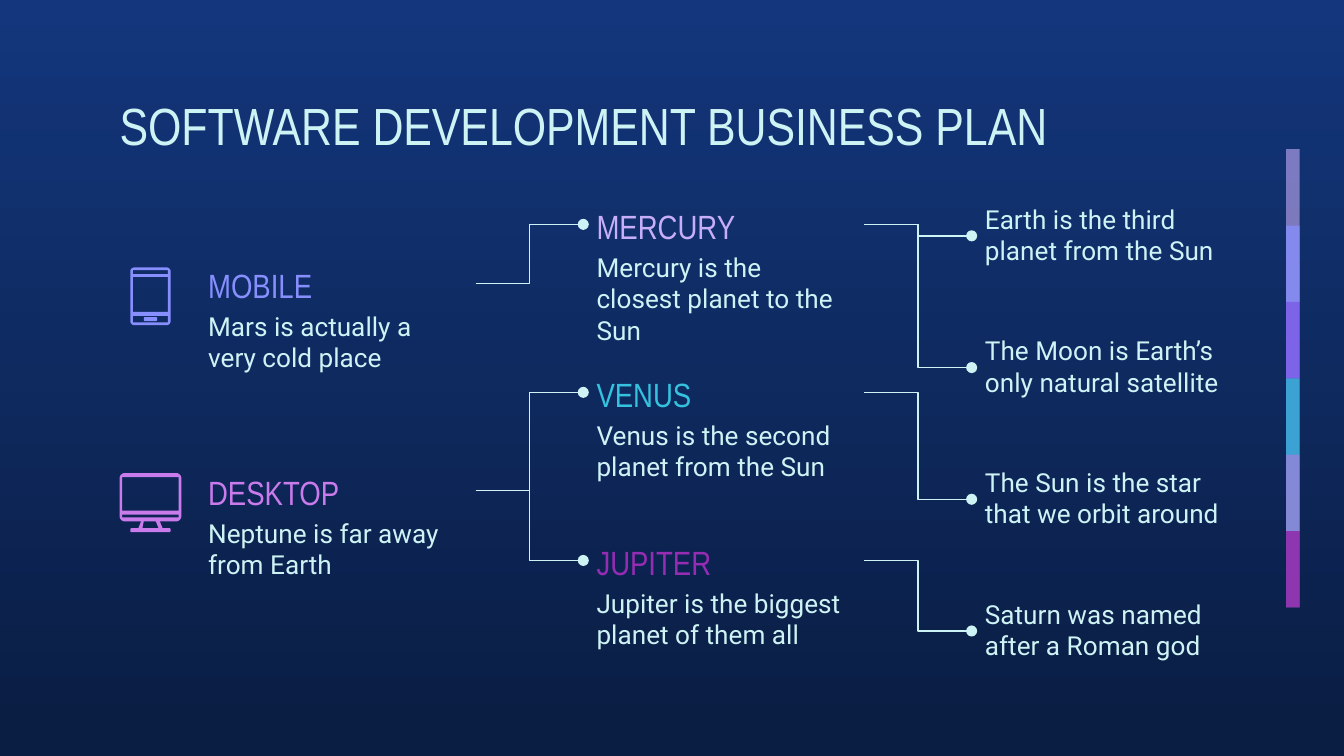
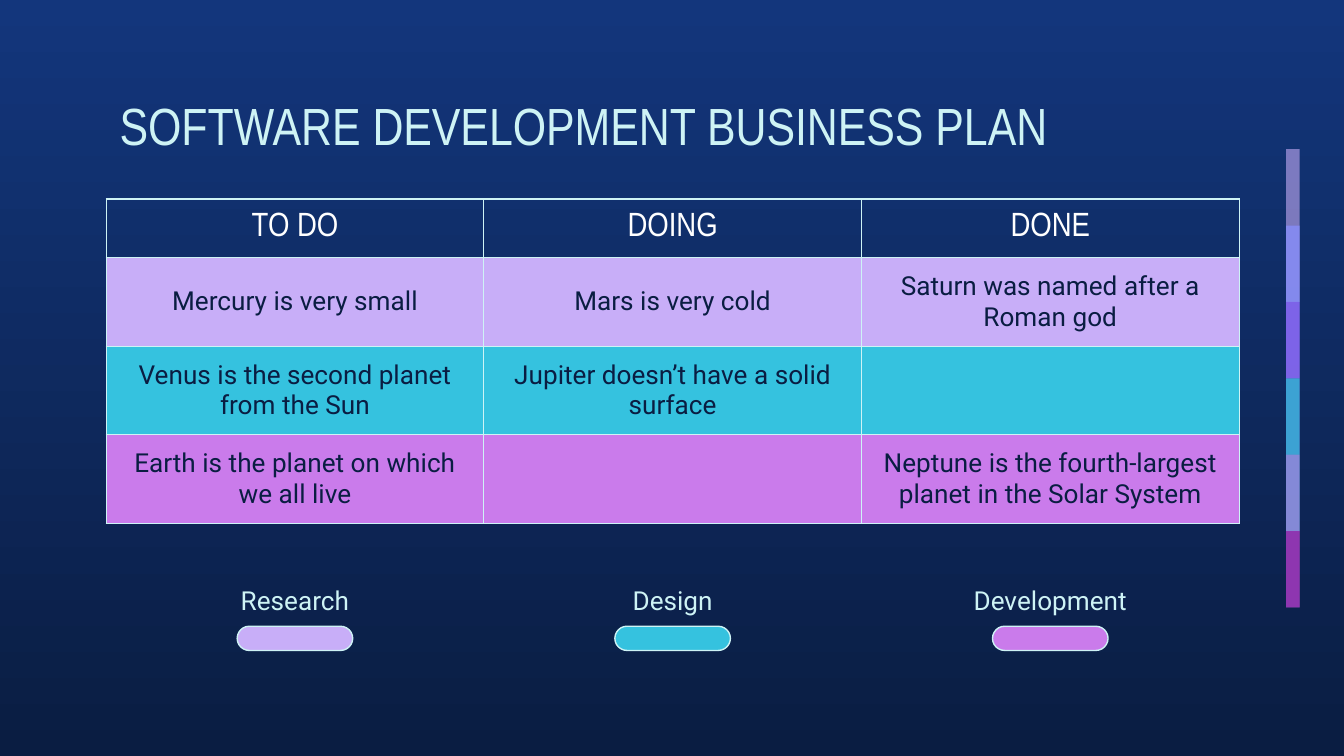
import math
from pptx import Presentation
from pptx import util as u
from pptx.dml import color
from pptx.enum import shapes, text
from pptx.oxml import ns, parse_xml

COLORS = {
    "sky": "13367C", "night": "0A1D42", "ice": "CEF3F5", "white": "FFFFFF",
    "lilac": "C8AEF8", "periwinkle": "878FFF", "violet": "9154F8",
    "cyan": "35C2DF", "orchid": "CA7BEB", "purple": "972CB4",
}
HEADING, BODY = "Arial Narrow", "Roboto"
HAIRLINE = 0.75

TITLE = "SOFTWARE DEVELOPMENT BUSINESS PLAN"
BAND = [("lilac", 59), ("periwinkle", 74), ("violet", 53),
        ("cyan", 76), ("orchid", 56), ("purple", 74)]

COLUMN_LEFTS = {"platform": 1.45, "planet": 4.34, "fact": 7.23}
TOPICS = [
    ("MOBILE", "Mars is actually a very cold place", "periwinkle", "platform", 1.85),
    ("DESKTOP", "Neptune is far away from Earth", "orchid", "platform", 3.39),
    ("MERCURY", "Mercury is the closest planet to the Sun", "lilac", "planet", 1.41),
    ("VENUS", "Venus is the second planet from the Sun", "cyan", "planet", 2.66),
    ("JUPITER", "Jupiter is the biggest planet of them all", "purple", "planet", 3.91),
]
FACTS = [
    "Earth is the third planet from the Sun",
    "The Moon is Earth’s only natural satellite",
    "The Sun is the star that we orbit around",
    "Saturn was named after a Roman god",
]
LINKS = [
    ("MOBILE", "MERCURY"), ("DESKTOP", "VENUS"), ("DESKTOP", "JUPITER"),
    ("MERCURY", FACTS[0]), ("MERCURY", FACTS[1]),
    ("VENUS", FACTS[2]), ("JUPITER", FACTS[3]),
]

BOARD_HEADS = ["TO DO", "DOING", "DONE"]
BOARD = [
    ("Research", "lilac", ["Mercury is very small", "Mars is very cold",
                           "Saturn was named after a Roman god"]),
    ("Design", "cyan", ["Venus is the second planet from the Sun",
                        "Jupiter doesn’t have a solid surface", ""]),
    ("Development", "orchid", ["Earth is the planet on which we all live", "",
                               "Neptune is the fourth-largest planet in the Solar System"]),
]


def rgb(name):
    return color.RGBColor.from_string(COLORS[name])


def rounded(left, top, right, bottom, radius):
    corners = [(right - radius, top + radius, -90), (right - radius, bottom - radius, 0),
               (left + radius, bottom - radius, 90), (left + radius, top + radius, 180)]
    return [(x + radius * math.cos(math.radians(start + turn)),
             y + radius * math.sin(math.radians(start + turn)))
            for x, y, start in corners for turn in range(0, 91, 15)]


def box(left, top, right, bottom):
    return [(left, top), (right, top), (right, bottom), (left, bottom)]


PHONE = [
    rounded(0.97, 1.99, 1.27, 2.42, 0.03),
    box(0.99, 2.01, 1.25, 2.04),
    box(0.99, 2.06, 1.25, 2.32),
    box(0.99, 2.35, 1.25, 2.4),
]
PHONE_BUTTON = [rounded(1.07, 2.36, 1.17, 2.39, 0.01)]
MONITOR = [
    rounded(0.89, 3.52, 1.35, 3.88, 0.04),
    box(0.91, 3.55, 1.33, 3.8),
    box(0.91, 3.83, 1.33, 3.85),
    [(1.05, 3.88), (1.07, 3.88), (1.06, 3.93), (1.03, 3.93)],
    [(1.16, 3.88), (1.19, 3.88), (1.21, 3.93), (1.18, 3.93)],
    rounded(0.97, 3.93, 1.27, 3.96, 0.01),
]
ICONS = [(PHONE, "periwinkle"), (PHONE_BUTTON, "periwinkle"), (MONITOR, "orchid")]


def style(paragraph, font, size, ink, align=None):
    if align is not None:
        paragraph.alignment = align
    paragraph.font.name = font
    paragraph.font.size = u.Pt(size)
    paragraph.font.color.rgb = rgb(ink)


def set_margins(holder):
    holder.margin_left = holder.margin_right = u.Inches(0.1)
    holder.margin_top = holder.margin_bottom = u.Inches(0.1)


def add_text(slide, words, left, top, width, height, font=BODY, size=14, ink="ice",
             align=None, anchor=text.MSO_ANCHOR.TOP):
    label = slide.shapes.add_textbox(*map(u.Inches, (left, top, width, height)))
    frame = label.text_frame
    frame.word_wrap = True
    frame.vertical_anchor = anchor
    set_margins(frame)
    frame.text = words
    style(frame.paragraphs[0], font, size, ink, align)
    return label


def paint(shape, fill, outline=None):
    shape.shadow.inherit = False
    shape.fill.solid()
    shape.fill.fore_color.rgb = rgb(fill)
    if outline:
        shape.line.color.rgb = rgb(outline)
        shape.line.width = u.Pt(HAIRLINE)
    else:
        shape.line.fill.background()


def add_band(slide):
    top, bottom = 1.11, 4.52
    step = (bottom - top) / len(BAND)
    for i, (fill, opacity) in enumerate(BAND):
        height = min(2 * step, bottom - top - i * step)
        stripe = slide.shapes.add_shape(
            shapes.MSO_SHAPE.RECTANGLE,
            *map(u.Inches, (9.57, top + i * step, 0.1, height)))
        paint(stripe, fill)
        tint = stripe._element.spPr.find(".//" + ns.qn("a:srgbClr"))
        tint.append(parse_xml(f'<a:alpha {ns.nsdecls("a")} val="{opacity * 1000}"/>'))


def add_slide(prs):
    slide = prs.slides.add_slide(prs.slide_layouts[5])
    add_band(slide)
    title = slide.shapes.title
    title.left, title.top, title.width, title.height = map(u.Inches, (0.79, 0.59, 8.43, 0.63))
    frame = title.text_frame
    frame.text = TITLE
    frame.auto_size = text.MSO_AUTO_SIZE.NONE
    frame.vertical_anchor = text.MSO_ANCHOR.TOP
    set_margins(frame)
    style(frame.paragraphs[0], HEADING, 28, "ice", text.PP_ALIGN.LEFT)
    return slide


def add_icon(slide, contours, fill):
    outline = None
    for contour in contours:
        points = [(u.Inches(x), u.Inches(y)) for x, y in contour]
        if outline is None:
            outline = slide.shapes.build_freeform(*points[0])
        else:
            outline.move_to(*points[0])
        outline.add_line_segments(points[1:], close=True)
    paint(outline.convert_to_shape(), fill)


def add_link(slide, source, target):
    link = slide.shapes.add_connector(
        shapes.MSO_CONNECTOR.ELBOW,
        source.left + source.width, source.top + source.height // 2,
        target.left, target.top + target.height // 2)
    link.begin_connect(source, 3)
    link.end_connect(target, 1)
    link.line.color.rgb = rgb("ice")
    link.line.width = u.Pt(HAIRLINE)
    props = link._element.spPr
    props.find(ns.qn("a:ln")).append(parse_xml(f'<a:tailEnd {ns.nsdecls("a")} type="oval"/>'))
    props.append(parse_xml(f'<a:effectLst {ns.nsdecls("a")}/>'))


def build_tree(prs):
    slide = add_slide(prs)
    width = 2.09
    nodes = {}
    for name, detail, ink, column, top in TOPICS:
        left = COLUMN_LEFTS[column]
        nodes[name] = add_text(slide, name, left, top, width, 0.52, HEADING, 18, ink,
                               anchor=text.MSO_ANCHOR.BOTTOM)
        add_text(slide, detail, left, top + 0.36, width, 0.69)
    for i, fact in enumerate(FACTS):
        nodes[fact] = add_text(slide, fact, COLUMN_LEFTS["fact"], 1.41 + 0.98 * i, width, 0.69)
    for source, target in LINKS:
        add_link(slide, nodes[source], nodes[target])
    for contours, fill in ICONS:
        add_icon(slide, contours, fill)


def fill_cell(cell, words, fill, font, size, ink, space_after=0):
    set_margins(cell)
    cell.vertical_anchor = text.MSO_ANCHOR.MIDDLE
    if fill:
        cell.fill.solid()
        cell.fill.fore_color.rgb = rgb(fill)
    else:
        cell.fill.background()
    if words:
        cell.text = words
    paragraph = cell.text_frame.paragraphs[0]
    style(paragraph, font, size, ink, text.PP_ALIGN.CENTER)
    paragraph.space_after = u.Pt(space_after)
    for i, side in enumerate(("lnL", "lnR", "lnT", "lnB")):
        cell._tc.tcPr.insert(i, parse_xml(
            f'<a:{side} {ns.nsdecls("a")} w="{u.Pt(HAIRLINE)}"><a:solidFill>'
            f'<a:srgbClr val="{COLORS["ice"]}"/></a:solidFill></a:{side}>'))


def build_board(prs):
    slide = add_slide(prs)
    left, column = 0.79, 2.81
    heights = [0.36] + [0.64] * len(BOARD)
    board = slide.shapes.add_table(
        len(heights), len(BOARD_HEADS),
        *map(u.Inches, (left, 1.48, column * len(BOARD_HEADS), sum(heights)))).table
    board.first_row = board.horz_banding = False
    for row, height in zip(board.rows, heights):
        row.height = u.Inches(height)
    for c, head in enumerate(BOARD_HEADS):
        board.columns[c].width = u.Inches(column)
        fill_cell(board.cell(0, c), head, None, HEADING, 18, "white")
    for r, (phase, fill, tasks) in enumerate(BOARD):
        for c, task in enumerate(tasks):
            fill_cell(board.cell(r + 1, c), task, fill, BODY, 14, "night", 10)
        center = left + column * (r + 0.5)
        add_text(slide, phase, center - 1.08, 4.25, 2.16, 0.39, align=text.PP_ALIGN.CENTER)
        pill = slide.shapes.add_shape(shapes.MSO_SHAPE.ROUNDED_RECTANGLE,
                                      *map(u.Inches, (center - 0.43, 4.66, 0.86, 0.18)))
        pill.adjustments[0] = 0.5
        paint(pill, fill, "ice")


def main():
    prs = Presentation()
    prs.slide_width = u.Inches(10)
    prs.slide_height = prs.slide_width * 9 // 16
    backdrop = prs.slide_master.background.fill
    backdrop.gradient()
    backdrop.gradient_angle = 270
    for stop, position, name in zip(backdrop.gradient_stops, (0, 1), ("sky", "night")):
        stop.position = position
        stop.color.rgb = rgb(name)
    build_tree(prs)
    build_board(prs)
    prs.save("out.pptx")


if __name__ == "__main__":
    main()
